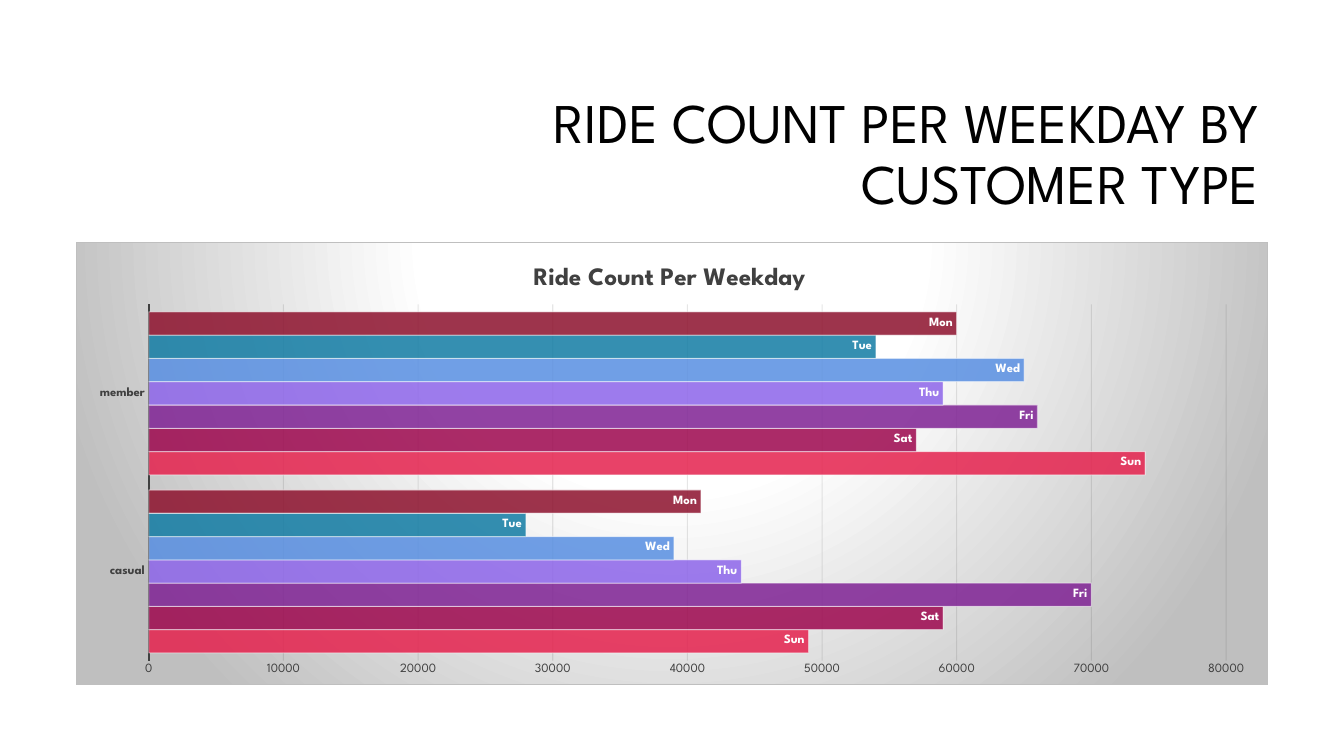
from dataclasses import dataclass

from lxml import etree
from pptx import Presentation
from pptx.chart.data import CategoryChartData
from pptx.dml.color import RGBColor
from pptx.enum.chart import XL_CHART_TYPE, XL_LABEL_POSITION, XL_TICK_MARK
from pptx.enum.text import MSO_ANCHOR, PP_ALIGN
from pptx.oxml import parse_xml
from pptx.oxml.ns import nsdecls, qn
from pptx.util import Inches, Pt

BAR_CLUSTERED = XL_CHART_TYPE.BAR_CLUSTERED
INSIDE_END = XL_LABEL_POSITION.INSIDE_END
NO_TICK = XL_TICK_MARK.NONE
MIDDLE = MSO_ANCHOR.MIDDLE
RIGHT = PP_ALIGN.RIGHT


@dataclass(frozen=True)
class Theme:
    font: str = "League Spartan"
    black: str = "000000"
    white: str = "FFFFFF"
    dark: str = "404040"
    grid: str = "0D0D0D"
    silver: str = "BFBFBF"
    title_size: int = 40
    chart_title_size: int = 18
    label_size: int = 9
    thin: float = 0.75
    axis_width: float = 1.5


THEME = Theme()
CUSTOMER_TYPES = ("casual", "member")
WEEKDAYS = (
    # name, colour, rides by customer type
    ("Sun", "E5224E", (49000, 74000)),
    ("Sat", "9D074E", (59000, 57000)),
    ("Fri", "7F2294", (70000, 66000)),
    ("Thu", "8D65EA", (44000, 59000)),
    ("Wed", "588FE2", (39000, 65000)),
    ("Tue", "127CA4", (28000, 54000)),
    ("Mon", "8D112D", (41000, 60000)),
)


def style_font(font, size, color, bold=False):
    font.name = THEME.font
    font.size = Pt(size)
    font.bold = bold
    font.color.rgb = RGBColor.from_string(color)


def style_line(line, color, width):
    line.color.rgb = RGBColor.from_string(color)
    line.width = Pt(width)


def set_opacity(parent, *percents):
    """Give the colours inside parent, in order, these opacities."""
    for color, percent in zip(parent.iter(qn("a:srgbClr")), percents):
        etree.SubElement(color, qn("a:alpha")).set("val", str(percent * 1000))


def set_layout(parent, index, inner=False, **fractions):
    """Place a chart part by x, y, w, h as fractions of the chart."""
    old = parent.find(qn("c:layout"))
    if old is not None:
        parent.remove(old)
    target = '<c:layoutTarget val="inner"/>' if inner else ""
    modes = "".join(f'<c:{key}Mode val="edge"/>' for key in "xy")
    places = "".join(f'<c:{key} val="{value}"/>' for key, value in fractions.items())
    parent.insert(index, parse_xml(
        f'<c:layout {nsdecls("c")}><c:manualLayout>{target}{modes}{places}'
        "</c:manualLayout></c:layout>"))


def fill_chart_area(chart):
    """Add the radial gradient and border behind the whole chart."""
    stops = "".join(
        f'<a:gs pos="{position * 1000}"><a:srgbClr val="{color}"/></a:gs>'
        for position, color in ((0, THEME.white), (39, THEME.white), (100, THEME.silver)))
    chart_part = chart._chartSpace.find(qn("c:chart"))
    chart_part.addnext(parse_xml(
        f'<c:spPr {nsdecls("c", "a")}><a:gradFill><a:gsLst>{stops}</a:gsLst>'
        '<a:path path="circle"><a:fillToRect l="50000" t="-80000" r="50000" b="180000"/>'
        f'</a:path></a:gradFill><a:ln w="{Pt(THEME.thin)}"><a:solidFill>'
        f'<a:srgbClr val="{THEME.silver}"/></a:solidFill></a:ln></c:spPr>'))


def style_axes(chart):
    customers, rides = chart.category_axis, chart.value_axis
    for axis in (customers, rides):
        axis.major_tick_mark = axis.minor_tick_mark = NO_TICK
        style_font(axis.tick_labels.font, THEME.label_size, THEME.dark, axis is customers)
    style_line(customers.format.line, THEME.dark, THEME.axis_width)
    rides.minimum_scale, rides.maximum_scale, rides.major_unit = 0, 80000, 10000
    rides.tick_labels.number_format = "0"
    rides.tick_labels.number_format_is_linked = False
    rides.format.line.fill.background()
    style_line(rides.major_gridlines.format.line, THEME.grid, THEME.thin)
    set_opacity(rides._element.find(qn("c:majorGridlines")), 10)


def style_series(series, color):
    series.format.fill.solid()
    series.format.fill.fore_color.rgb = RGBColor.from_string(color)
    series.invert_if_negative = False
    style_line(series.format.line, THEME.white, THEME.thin)
    set_opacity(series._element.find(qn("c:spPr")), 85, 50)
    labels = series.data_labels
    labels.show_series_name = True
    labels.show_value = False
    labels.position = INSIDE_END
    style_font(labels.font, THEME.label_size, THEME.white, True)


def add_title(page, left, top, width, height):
    title = page.shapes.title
    title.left, title.top, title.width, title.height = left, top, width, height
    frame = title.text_frame
    frame.text = "RIDE COUNT PER WEEKDAY BY CUSTOMER TYPE"
    frame.word_wrap = True
    frame.vertical_anchor = MIDDLE
    para = frame.paragraphs[0]
    para.alignment = RIGHT
    para.line_spacing = 0.9
    style_font(para.runs[0].font, THEME.title_size, THEME.black)


def add_ride_chart(page, left, top, width, height):
    data = CategoryChartData(number_format="0")
    data.categories = CUSTOMER_TYPES
    for name, _, rides in WEEKDAYS:
        data.add_series(name, rides)
    chart = page.shapes.add_chart(BAR_CLUSTERED, left, top, width, height, data).chart
    style_font(chart.font, 10, THEME.black)
    chart.has_legend = False
    chart.has_title = True
    frame = chart.chart_title.text_frame
    frame.text = "Ride Count Per Weekday"
    style_font(frame.paragraphs[0].runs[0].font, THEME.chart_title_size, THEME.dark, True)
    set_layout(chart.chart_title._element, 1, x=0.38, y=0.04)
    plot = chart.plots[0]
    plot.gap_width, plot.overlap, plot.vary_by_categories = 65, 0, False
    set_layout(chart._chartSpace.chart.plotArea, 0, inner=True, x=0.061, y=0.14, w=0.904, h=0.805)
    for series, (_, color, _) in zip(plot.series, WEEKDAYS):
        style_series(series, color)
    style_axes(chart)
    fill_chart_area(chart)


def main():
    deck = Presentation()
    deck.slide_width, deck.slide_height = Inches(13.33), Inches(7.5)
    page = deck.slides.add_slide(deck.slide_layouts.get_by_name("Title Only"))
    add_title(page, Inches(3.17), Inches(0.84), Inches(9.42), Inches(1.41))
    add_ride_chart(page, Inches(0.75), Inches(2.4), Inches(11.83), Inches(4.4))
    deck.save("out.pptx")


if __name__ == "__main__":
    main()
